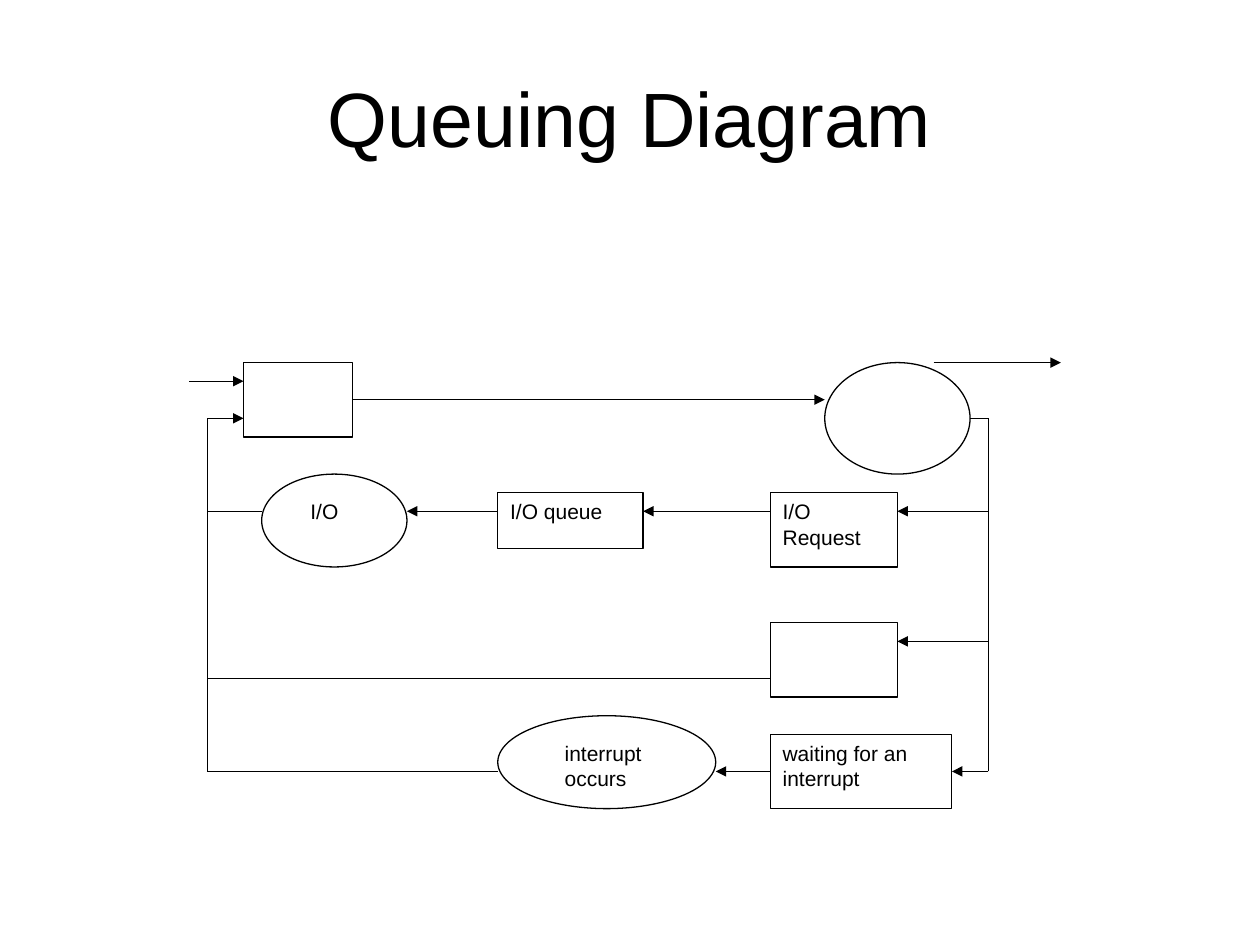
from lxml.etree import SubElement
from pptx import Presentation
from pptx.dml.color import RGBColor
from pptx.enum.shapes import MSO_CONNECTOR, MSO_SHAPE
from pptx.enum.text import MSO_ANCHOR, PP_ALIGN
from pptx.oxml.ns import qn
from pptx.util import Pt

THEME = {
    "font": "Arial",
    "ink": RGBColor(0, 0, 0),
    "paper": RGBColor(255, 255, 255),
    "title_size": 44,
    "label_size": 12,
    "line_width": 0.75,
}

TITLE = "Queuing Diagram"

# The diagram sits on a grid: column, row, columns wide, rows high
ORIGIN_X, ORIGIN_Y = 108, 207.2
COLUMN, ROW = 10.38, 10.62

BOXES = [
    ("", 3, 0, 6, 4),
    ("I/O queue", 17, 7, 8, 3),
    ("I/O Request", 32, 7, 7, 4),
    ("", 32, 14, 7, 4),
    ("waiting for an interrupt", 32, 20, 10, 4),
]
ELLIPSES = [(4, 6, 8, 5), (17, 19, 12, 5), (35, 0, 8, 6)]
ELLIPSE_LABELS = [
    ("I/O", 6, 7, 6, 4),
    ("interrupt occurs", 20, 20, 9, 4),
]

# Start and end, each as column, row
ARROWS = [
    ((9, 2), (35, 2)),
    ((41, 0), (48, 0)),
    ((44, 8), (39, 8)),
    ((44, 15), (39, 15)),
    ((44, 22), (42, 22)),
    ((32, 22), (29, 22)),
    ((1, 3), (3, 3)),
    ((17, 8), (12, 8)),
    ((32, 8), (25, 8)),
    ((0, 1), (3, 1)),
]
LINES = [
    ((44, 22), (44, 3)),
    ((43, 3), (44, 3)),
    ((1, 3), (1, 22)),
    ((1, 22), (17, 22)),
    ((1, 8), (4, 8)),
    ((1, 17), (32, 17)),
]


def grid_point(column, row):
    return Pt(ORIGIN_X + column * COLUMN), Pt(ORIGIN_Y + row * ROW)


def grid_frame(column, row, columns, rows):
    return *grid_point(column, row), Pt(columns * COLUMN), Pt(rows * ROW)


def write_text(shape, text, size, align=PP_ALIGN.LEFT, anchor=MSO_ANCHOR.TOP):
    frame = shape.text_frame
    frame.word_wrap = True
    frame.vertical_anchor = anchor
    paragraph = frame.paragraphs[0]
    paragraph.text = text
    paragraph.alignment = align
    paragraph.font.name = THEME["font"]
    paragraph.font.size = Pt(size)
    paragraph.font.color.rgb = THEME["ink"]


def style_line(line):
    line.color.rgb = THEME["ink"]
    line.width = Pt(THEME["line_width"])


def add_outlined(slide, kind, cells):
    shape = slide.shapes.add_shape(kind, *grid_frame(*cells))
    shape.shadow.inherit = False
    shape.fill.solid()
    shape.fill.fore_color.rgb = THEME["paper"]
    style_line(shape.line)
    return shape


def side_middles(column, row, columns, rows):
    """Map the middle of each side of a box to its connection site."""
    center, middle = column + columns / 2, row + rows / 2
    return {
        (center, row): 0,
        (column, middle): 1,
        (center, row + rows): 2,
        (column + columns, middle): 3,
    }


def add_line(slide, start, end, sites, arrow):
    connector = slide.shapes.add_connector(
        MSO_CONNECTOR.STRAIGHT, *grid_point(*start), *grid_point(*end))
    style_line(connector.line)
    if arrow:
        SubElement(connector.line._get_or_add_ln(), qn("a:tailEnd"), type="triangle")
    SubElement(connector._element.spPr, qn("a:effectLst"))
    if start in sites:
        connector.begin_connect(*sites[start])
    if end in sites:
        connector.end_connect(*sites[end])


def main():
    presentation = Presentation()
    presentation.slide_width, presentation.slide_height = Pt(720), Pt(540)
    slide = presentation.slides.add_slide(presentation.slide_layouts[6])

    title = slide.shapes.add_textbox(Pt(36), Pt(21.6), Pt(648), Pt(90))
    write_text(title, TITLE, THEME["title_size"], PP_ALIGN.CENTER, MSO_ANCHOR.MIDDLE)

    sites = {}
    for text, *cells in BOXES:
        box = add_outlined(slide, MSO_SHAPE.RECTANGLE, cells)
        if text:
            write_text(box, text, THEME["label_size"])
        for point, site in side_middles(*cells).items():
            sites[point] = (box, site)

    for cells in ELLIPSES:
        add_outlined(slide, MSO_SHAPE.OVAL, cells)
    for text, *cells in ELLIPSE_LABELS:
        label = slide.shapes.add_textbox(*grid_frame(*cells))
        write_text(label, text, THEME["label_size"])

    for connections, arrow in ((ARROWS, True), (LINES, False)):
        for start, end in connections:
            add_line(slide, start, end, sites, arrow)

    presentation.save("out.pptx")


if __name__ == "__main__":
    main()
